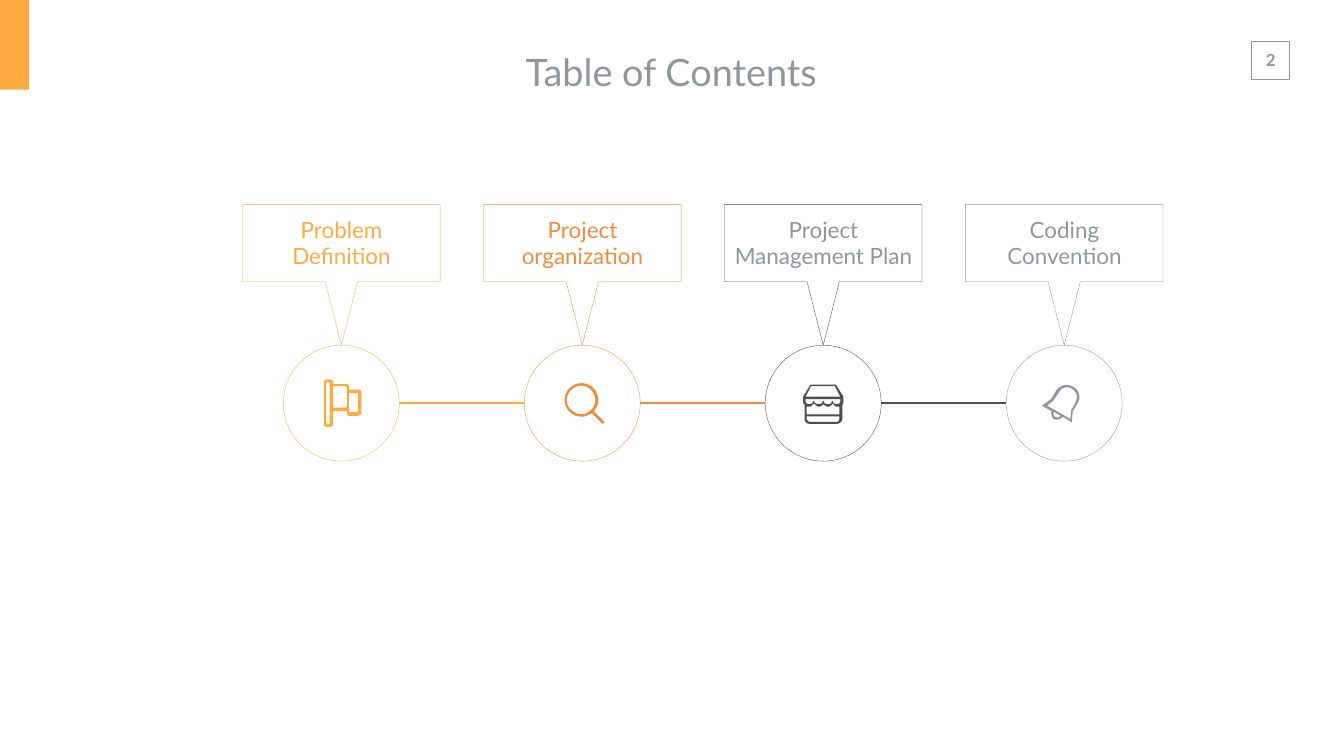
from dataclasses import dataclass
from itertools import pairwise

from lxml.etree import SubElement
from pptx import Presentation
from pptx.dml.color import RGBColor
from pptx.enum.shapes import MSO_CONNECTOR, MSO_SHAPE
from pptx.enum.text import MSO_ANCHOR as Anchor, PP_ALIGN as Align
from pptx.oxml.ns import qn
from pptx.shapes.base import BaseShape
from pptx.slide import Slide
from pptx.text.text import TextFrame
from pptx.util import Pt

EMU_PER_PX = 9144
CURVE_STEPS = 5
Contour = list[tuple[int, ...]]


@dataclass(frozen=True)
class Theme:
    font: str = "Lato"
    amber: str = "FFA943"
    orange: str = "F28B3E"
    dark: str = "4B5050"
    gray: str = "91969B"
    white: str = "FFFFFF"
    title_size: int = 54
    label_size: int = 32
    number_size: int = 24
    thin: float = 0.5
    frame: float = 1
    link: float = 3


@dataclass(frozen=True)
class Chapter:
    label: str
    color: str
    label_color: str
    icon: list[Contour]


THEME = Theme()
FIRST_CENTER, PITCH = 677, 478
AXIS, RADIUS = 800, 115
CALLOUT_TOP, CALLOUT_BOTTOM, CALLOUT_HALF, TAIL_HALF = 406, 559, 196, 32
LABEL_TOP, LABEL_WIDTH, LABEL_HEIGHT, LABEL_INSET = 423, 395, 118, 18

FLAG = [
    [(33, -27), (15, -27), (15, -34), (15, -36, 13, -38, 11, -38), (-16, -38),
     (-16, -43), (-16, -45, -21, -47, -23, -47), (-30, -47),
     (-32, -47, -34, -45, -34, -43), (-34, 43), (-34, 45, -32, 47, -30, 47),
     (-23, 47), (-21, 47, -16, 45, -16, 43), (-16, 16), (11, 16), (11, 18),
     (11, 20, 13, 25, 15, 25), (33, 25), (38, 25, 40, 20, 40, 18), (40, -20),
     (40, -25, 38, -27, 33, -27)],
    [(-23, 38), (-23, 40, -25, 43, -25, 43), (-27, 43, -30, 40, -30, 38),
     (-30, -38), (-30, -41, -27, -43, -25, -43), (-25, -43, -23, -41, -23, -38)],
    [(11, 7), (11, 7, 9, 9, 6, 9), (-16, 9), (-16, -34), (6, -34),
     (9, -34, 11, -32, 11, -29)],
    [(33, 16), (33, 16, 33, 18, 31, 18), (15, 18), (15, -20), (31, -20),
     (33, -20, 33, -20, 33, -18)],
]
MAGNIFIER = [
    [(43, 36), (23, 16), (28, 10, 32, 3, 32, -6), (32, -25, 17, -40, -1, -40),
     (-20, -40, -35, -25, -35, -6), (-35, 12, -20, 27, -1, 27),
     (6, 27, 13, 23, 19, 20), (39, 40), (43, 40)],
    [(-1, 22), (-18, 22, -31, 8, -31, -6), (-31, -21, -18, -35, -1, -35),
     (13, -35, 26, -21, 26, -6), (26, 8, 13, 22, -1, 22)],
]
SHOP = [
    [(25, -37), (-25, -37), (-40, -13), (-40, -4), (-40, 0, -39, 2, -37, 3),
     (-37, 31), (-37, 37, -33, 41, -27, 41), (27, 41), (32, 41, 38, 37, 38, 31),
     (38, 3), (40, 2, 40, 0, 40, -4), (40, -13)],
    [(32, 31), (32, 33, 30, 37, 27, 37), (-27, 37), (-29, 37, -33, 33, -33, 31),
     (-33, 26), (32, 26)],
    [(32, 22), (-33, 22), (-33, 7), (-27, 7), (-25, 7, -20, 3, -18, 0),
     (-16, 3, -12, 7, -9, 7), (-5, 7, -1, 3, 1, 2), (1, 3, 6, 7, 10, 7),
     (14, 7, 17, 3, 19, 0), (21, 3, 23, 7, 27, 7), (32, 7)],
    [(34, -4), (34, 0, 30, 2, 27, 2), (23, 2, 19, 0, 19, -4), (17, -4),
     (17, 0, 14, 2, 10, 2), (6, 2, 1, 0, 1, -4), (-1, -4),
     (-1, 0, -5, 2, -9, 2), (-12, 2, -18, 0, -18, -4), (-20, -4),
     (-20, 0, -24, 2, -27, 2), (-31, 2, -35, 0, -35, -4), (-35, -8), (34, -8)],
    [(-35, -13), (-24, -34), (23, -34), (34, -13)],
]
BELL = [
    [(17, -33), (6, -40, -9, -36, -16, -25), (-25, -9), (-44, 5), (-25, 16),
     (-27, 21, -25, 29, -20, 32), (-14, 34, -7, 32, -3, 27), (15, 38), (17, 16),
     (27, -1), (34, -12, 30, -27, 17, -33)],
    [(-18, 27), (-22, 25, -22, 21, -20, 17), (-7, 25), (-10, 29, -14, 29, -18, 27)],
    [(23, -3), (14, 14), (12, 31), (-34, 5), (-22, -5), (-10, -22),
     (-7, -31, 6, -35, 15, -29), (25, -23, 28, -12, 23, -3)],
]

CHAPTERS = [
    Chapter("Problem Definition", THEME.amber, THEME.amber, FLAG),
    Chapter("Project organization", THEME.orange, THEME.orange, MAGNIFIER),
    Chapter("Project Management Plan", THEME.dark, THEME.gray, SHOP),
    Chapter("Coding Convention", THEME.gray, THEME.gray, BELL),
]


def px(length: float) -> int:
    return round(length * EMU_PER_PX)


def box(*lengths: int) -> list[int]:
    return [px(length) for length in lengths]


def paint(shape: BaseShape, fill: str | None, line: str | None, width: float = THEME.thin) -> None:
    shape.shadow.inherit = False
    if fill:
        shape.fill.solid()
        shape.fill.fore_color.rgb = RGBColor.from_string(fill)
    else:
        shape.fill.background()
    if line:
        shape.line.color.rgb = RGBColor.from_string(line)
        shape.line.width = Pt(width)
    else:
        shape.line.fill.background()


def write(frame: TextFrame, text: str, size: int, color: str, bold: bool = False,
          anchor: Anchor = Anchor.MIDDLE, inset: int = 0) -> None:
    frame.text = text
    frame.word_wrap = True
    frame.vertical_anchor = anchor
    frame.margin_left = frame.margin_right = px(inset)
    paragraph = frame.paragraphs[0]
    paragraph.alignment = Align.CENTER
    font = paragraph.font
    font.name, font.size, font.bold = THEME.font, Pt(size), bold
    font.color.rgb = RGBColor.from_string(color)


def flatten(contour: Contour) -> list[tuple[float, float]]:
    points: list[tuple[float, float]] = [contour[0]]
    for step in contour[1:]:
        if len(step) == 2:
            points.append(step)
            continue
        x0, y0 = points[-1]
        x1, y1, x2, y2, x3, y3 = step
        for t in (n / CURVE_STEPS for n in range(1, CURVE_STEPS + 1)):
            a, b, c, d = (1 - t) ** 3, 3 * t * (1 - t) ** 2, 3 * t * t * (1 - t), t ** 3
            points.append((a * x0 + b * x1 + c * x2 + d * x3,
                           a * y0 + b * y1 + c * y2 + d * y3))
    return points


def draw_outline(slide: Slide, center: int, middle: int, contours: list[Contour]) -> BaseShape:
    builder = None
    for contour in contours:
        start, *rest = [(px(center + x), px(middle + y)) for x, y in flatten(contour)]
        if builder is None:
            builder = slide.shapes.build_freeform(*start, scale=1.0)
        else:
            builder.move_to(*start)
        builder.add_line_segments(rest, close=True)
    return builder.convert_to_shape()


def draw_chapter(slide: Slide, chapter: Chapter, center: int) -> None:
    circle = slide.shapes.add_shape(
        MSO_SHAPE.OVAL, *box(center - RADIUS, AXIS - RADIUS, 2 * RADIUS, 2 * RADIUS))
    paint(circle, THEME.white, chapter.color)
    callout = [(-CALLOUT_HALF, CALLOUT_TOP), (CALLOUT_HALF, CALLOUT_TOP),
               (CALLOUT_HALF, CALLOUT_BOTTOM), (TAIL_HALF, CALLOUT_BOTTOM),
               (0, AXIS - RADIUS), (-TAIL_HALF, CALLOUT_BOTTOM),
               (-CALLOUT_HALF, CALLOUT_BOTTOM)]
    paint(draw_outline(slide, center, 0, [callout]), None, chapter.color)
    paint(draw_outline(slide, center, AXIS, chapter.icon), chapter.color, None)
    label = slide.shapes.add_textbox(
        *box(center - LABEL_WIDTH // 2, LABEL_TOP, LABEL_WIDTH, LABEL_HEIGHT))
    write(label.text_frame, chapter.label, THEME.label_size, chapter.label_color,
          anchor=Anchor.TOP, inset=LABEL_INSET)


def draw_link(slide: Slide, left: int, right: int, color: str) -> None:
    link = slide.shapes.add_connector(
        MSO_CONNECTOR.STRAIGHT, *box(left + RADIUS, AXIS, right - RADIUS, AXIS))
    link.line.color.rgb = RGBColor.from_string(color)
    link.line.width = Pt(THEME.link)
    SubElement(link._element.spPr, qn("a:effectLst"))


def main() -> None:
    deck = Presentation()
    deck.slide_width, deck.slide_height = box(2666, 1500)
    slide = deck.slides.add_slide(deck.slide_layouts[5])

    title = slide.shapes.title
    title.left, title.top, title.width, title.height = box(815, 83, 1033, 118)
    write(title.text_frame, "Table of Contents", THEME.title_size, THEME.gray, inset=27)

    corner = slide.shapes.add_shape(MSO_SHAPE.RECTANGLE, *box(0, 0, 58, 178))
    paint(corner, THEME.amber, None)
    page_number = slide.shapes.add_shape(MSO_SHAPE.RECTANGLE, *box(2483, 82, 75, 75))
    paint(page_number, None, THEME.gray, THEME.frame)
    write(page_number.text_frame, "2", THEME.number_size, THEME.gray, bold=True)

    centers = [FIRST_CENTER + PITCH * i for i in range(len(CHAPTERS))]
    for chapter, center in zip(CHAPTERS, centers):
        draw_chapter(slide, chapter, center)
    for chapter, (left, right) in zip(CHAPTERS, pairwise(centers)):
        draw_link(slide, left, right, chapter.color)

    deck.save("out.pptx")


if __name__ == "__main__":
    main()
